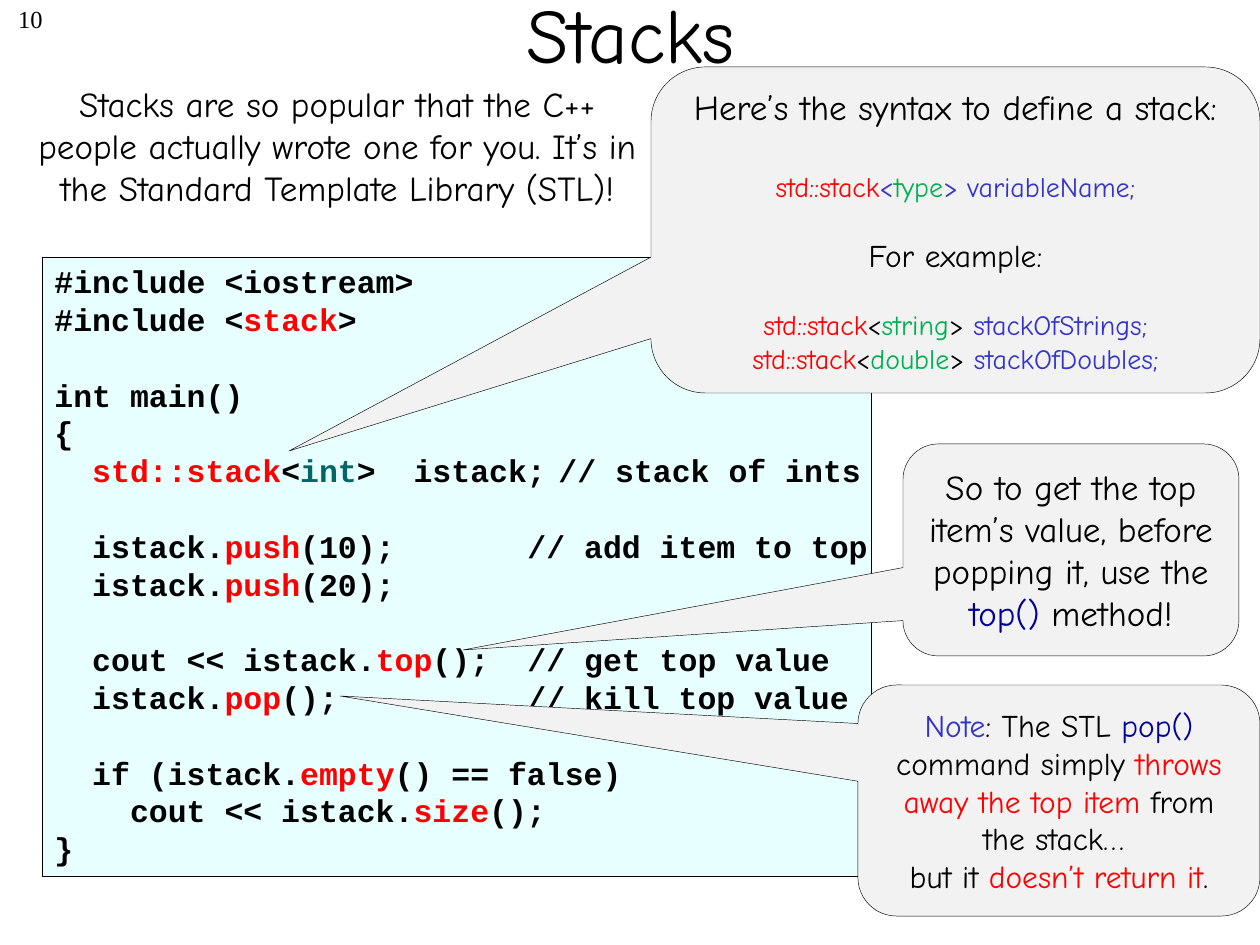
from pptx import Presentation
from pptx.dml.color import RGBColor
from pptx.enum.shapes import MSO_SHAPE
from pptx.enum.text import MSO_ANCHOR, PP_ALIGN
from pptx.util import Emu, Pt
from lxml.etree import SubElement
from pptx.oxml.ns import qn

BLACK, RED, BLUE, NAVY = "000000", "FF0000", "3333CC", "000099"
GREEN, TEAL, CYAN, GREY = "00B050", "006666", "E7FFFF", "F2F2F2"
COMIC, MONO, SERIF = "Comic Neue", "Courier New", "Times New Roman"


def px(n):
    return Emu(round(n * 914400 / 126))


def hue(code):
    return RGBColor.from_string(code)


def line(*runs, size=20, gap=0, tab=0):
    return runs, size, gap, tab


def red(text):
    return text, RED


class Deck:
    """Holds the style and the current slide."""

    def __init__(self, wide, high):
        self.pres = Presentation()
        self.pres.slide_width, self.pres.slide_height = px(wide), px(high)
        self.slide = self.pres.slides.add_slide(self.pres.slide_layouts[6])

    def fill(self, frame, lines, font=COMIC, align=PP_ALIGN.CENTER,
             anchor=MSO_ANCHOR.MIDDLE, bold=False):
        frame.word_wrap = True
        frame.vertical_anchor = anchor
        for i, (runs, size, gap, tab) in enumerate(lines):
            para = frame.paragraphs[0] if i == 0 else frame.add_paragraph()
            para.alignment = align
            para.line_spacing = Pt(size * 1.2)
            para.space_before = Pt(gap)
            if tab:
                stops = SubElement(para._p.get_or_add_pPr(), qn("a:tabLst"))
                SubElement(stops, qn("a:tab"), pos=str(px(tab)), algn="l")
            face = para.font
            face.name, face.size, face.bold = font, Pt(size), bold
            for part in runs:
                if part == "\n":
                    para.add_line_break()
                    continue
                text, color = (part, BLACK) if isinstance(part, str) else part
                run = para.add_run()
                run.text = text
                run.font.color.rgb = hue(color)

    def text(self, box, lines, **style):
        shape = self.slide.shapes.add_textbox(*map(px, box))
        self.fill(shape.text_frame, lines, **style)

    def shape(self, kind, box, color):
        shape = self.slide.shapes.add_shape(kind, *map(px, box))
        shape.shadow.inherit = False
        shape.fill.solid()
        shape.fill.fore_color.rgb = hue(color)
        shape.line.color.rgb = hue(BLACK)
        shape.line.width = Pt(0.25)
        return shape

    def bubble(self, box, tip, lines):
        shape = self.shape(MSO_SHAPE.ROUNDED_RECTANGULAR_CALLOUT, box, GREY)
        left, top, wide, high = box
        shape.adjustments[0] = (tip[0] - left) / wide - 0.5
        shape.adjustments[1] = (tip[1] - top) / high - 0.5
        shape.adjustments[2] = 0.167
        self.fill(shape.text_frame, lines)


def stack(kind, name, mark=BLACK, gap=0):
    return line(red("std::stack"), ("<", mark), (kind, GREEN), ("> ", mark),
                (name, BLUE), size=16, gap=gap)


def code(*runs, gap=0, tab=0):
    return line(*runs, size=18, gap=gap * 21.6, tab=tab)


def main():
    deck = Deck(1260, 945)
    deck.text((0, -2, 55, 63), [line("10", size=14)], font=SERIF,
              align=PP_ALIGN.RIGHT, anchor=MSO_ANCHOR.TOP)
    deck.shape(MSO_SHAPE.RECTANGLE, (42, 257, 829, 619), CYAN)
    deck.text((95, -46, 1071, 157), [line("Stacks", size=44)])
    deck.text((23, 76, 629, 183), [line(
        "Stacks are so popular that the C++ people actually wrote one for you. "
        "It’s in the Standard Template Library (STL)!")],
        anchor=MSO_ANCHOR.TOP)
    note = 473
    deck.text((42, 256, 861, 661), [
        code("#include <iostream>"),
        code("#include <", red("stack"), ">"),
        code("int main()", gap=1),
        code("{"),
        code("  ", red("std::stack"), "<", ("int", TEAL),
             ">  istack;\t// stack of ints", tab=504),
        code("  istack.", red("push"), "(10);\t// add item to top",
             gap=1, tab=note),
        code("  istack.", red("push"), "(20);"),
        code("  cout << istack.", red("top"), "();\t// get top value",
             gap=1, tab=note),
        code("  istack.", red("pop"), "();\t// kill top value", tab=note),
        code("  if (istack.", red("empty"), "() == false)", gap=1),
        code("    cout << istack.", red("size"), "();"),
        code("}"),
    ], font=MONO, align=PP_ALIGN.LEFT, anchor=MSO_ANCHOR.TOP, bold=True)
    deck.bubble((651, 67, 609, 326), (289, 451), [
        line("Here’s the syntax to define a stack:"),
        stack("type", "variableName;", BLUE, gap=24),
        line("For example:", size=18, gap=19.2),
        stack("string", "stackOfStrings;", gap=19.2),
        stack("double", "stackOfDoubles;"),
    ])
    deck.bubble((858, 685, 402, 231), (340, 696), [line(
        ("Note", BLUE), ": The STL ", ("pop()", NAVY), " command simply ",
        red("throws away the top item"), " from the stack… ", "\n", "but it ",
        red("doesn’t return it"), ".", size=18)])
    deck.bubble((903, 444, 336, 212), (463, 650), [line(
        "So to get the top item’s value, before popping it, use the ",
        ("top()", NAVY), " method!")])
    deck.pres.save("out.pptx")


if __name__ == "__main__":
    main()
